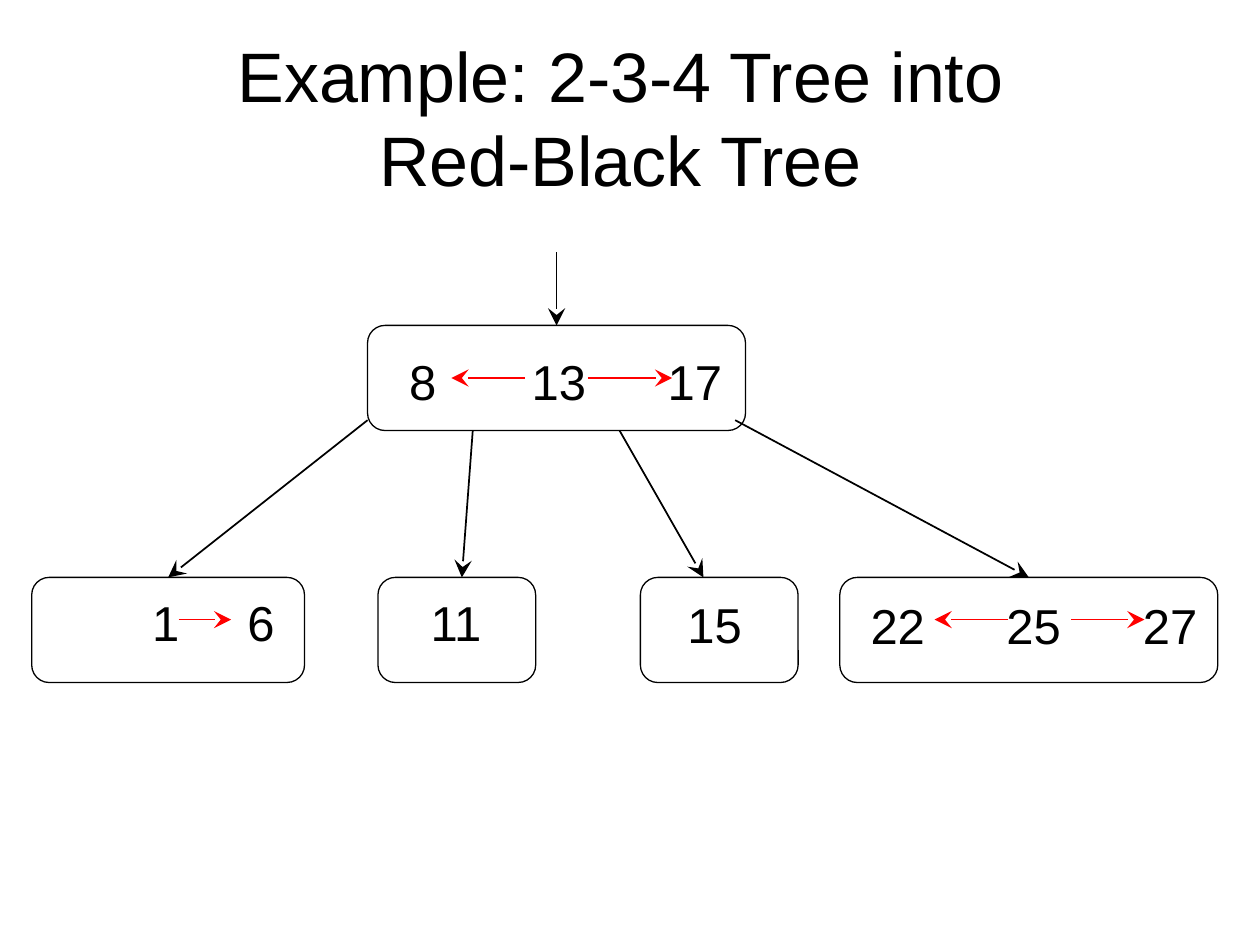
from lxml import etree
from pptx import Presentation
from pptx import util as u
from pptx.dml.color import RGBColor
from pptx.enum import shapes, text
from pptx.oxml.ns import qn

BLACK = RGBColor(0x00, 0x00, 0x00)
RED = RGBColor(0xFF, 0x00, 0x00)
NODE_HEIGHT = 2.12
ROOT_TOP = 6.56
LEAF_TOP = 11.64
ROOT_ARROW_Y = 7.62
LEAF_ARROW_Y = 12.49
ROOT_BOTTOM = ROOT_TOP + NODE_HEIGHT
CORNER_Y = 8.47


def format_text(frame, size, alignment, anchor):
    frame_format = {
        "word_wrap": True,
        "auto_size": text.MSO_AUTO_SIZE.NONE,
        "vertical_anchor": anchor,
    }
    for name, value in frame_format.items():
        setattr(frame, name, value)
    paragraph = frame.paragraphs[0]
    paragraph.alignment = alignment
    for run in paragraph.runs:
        for name, value in {"name": "Arial", "size": u.Pt(size)}.items():
            setattr(run.font, name, value)
        run.font.color.rgb = BLACK


presentation = Presentation()
presentation.slide_width = u.Cm(25.4)
presentation.slide_height = u.Cm(19.05)
slide = presentation.slides.add_slide(presentation.slide_layouts[5])

title = slide.shapes.title
title_place = {"left": 1.27, "top": 0.76, "width": 22.86, "height": 3.18}
for name, value in title_place.items():
    setattr(title, name, u.Cm(value))
title.text_frame.text = "Example: 2-3-4 Tree into \vRed-Black Tree "
format_text(title.text_frame, 40, text.PP_ALIGN.CENTER, text.MSO_ANCHOR.MIDDLE)

nodes = [
    ("8\t13\t17", 7.41, ROOT_TOP, 7.62, 8.0, 6.96, 7.0, [2.47, 5.21]),
    ("\t1\t6", 0.64, LEAF_TOP, 5.5, 1.45, 11.81, 4.5, [1.37, 3.29]),
    ("11", 7.62, LEAF_TOP, 3.18, 8.43, 11.81, 1.8, []),
    ("15", 12.91, LEAF_TOP, 3.18, 13.61, 11.86, 1.8, []),
    ("22\t25\t27", 16.93, LEAF_TOP, 7.62, 17.3, 11.89, 7.3, [2.74, 5.49]),
]
boxes = []
for keys, left, top, width, text_left, text_top, text_width, stops in nodes:
    box = slide.shapes.add_shape(
        shapes.MSO_SHAPE.ROUNDED_RECTANGLE,
        u.Cm(left), u.Cm(top), u.Cm(width), u.Cm(NODE_HEIGHT),
    )
    box.shadow.inherit = False
    box.fill.background()
    box.line.color.rgb = BLACK
    box.line.width = u.Pt(0.75)
    boxes.append(box)

    label = slide.shapes.add_textbox(
        u.Cm(text_left), u.Cm(text_top), u.Cm(text_width), u.Cm(1.45)
    )
    paragraph = label.text_frame.paragraphs[0]
    paragraph.text = keys
    if stops:
        tab_list = etree.SubElement(paragraph._p.get_or_add_pPr(), qn("a:tabLst"))
        for stop in stops:
            etree.SubElement(tab_list, qn("a:tab"), pos=str(u.Cm(stop)), algn="l")
    format_text(label.text_frame, 28, text.PP_ALIGN.LEFT, text.MSO_ANCHOR.TOP)

root, leaf_1_6, leaf_11, leaf_15, leaf_22_27 = boxes
arrows = [
    (7.41, CORNER_Y, 3.39, LEAF_TOP, BLACK, leaf_1_6),
    (9.53, ROOT_BOTTOM, 9.31, LEAF_TOP, BLACK, None),
    (12.49, ROOT_BOTTOM, 14.18, LEAF_TOP, BLACK, None),
    (14.82, CORNER_Y, 20.74, LEAF_TOP, BLACK, leaf_22_27),
    (10.58, ROOT_ARROW_Y, 9.1, ROOT_ARROW_Y, RED, None),
    (11.85, ROOT_ARROW_Y, 13.55, ROOT_ARROW_Y, RED, None),
    (3.6, LEAF_ARROW_Y, 4.66, LEAF_ARROW_Y, RED, None),
    (20.32, LEAF_ARROW_Y, 18.84, LEAF_ARROW_Y, RED, None),
    (21.59, LEAF_ARROW_Y, 23.07, LEAF_ARROW_Y, RED, None),
    (11.22, 5.08, 11.22, ROOT_TOP, BLACK, root),
]
for start_x, start_y, end_x, end_y, color, target in arrows:
    arrow = slide.shapes.add_connector(
        shapes.MSO_CONNECTOR.STRAIGHT,
        u.Cm(start_x), u.Cm(start_y), u.Cm(end_x), u.Cm(end_y),
    )
    if target is not None:
        arrow.end_connect(target, 0)
    arrow.line.color.rgb = color
    arrow.line.width = u.Pt(1)
    etree.SubElement(arrow.line._get_or_add_ln(), qn("a:tailEnd"), type="stealth", w="lg", len="lg")
    etree.SubElement(arrow._element.spPr, qn("a:effectLst"))

presentation.save("out.pptx")
